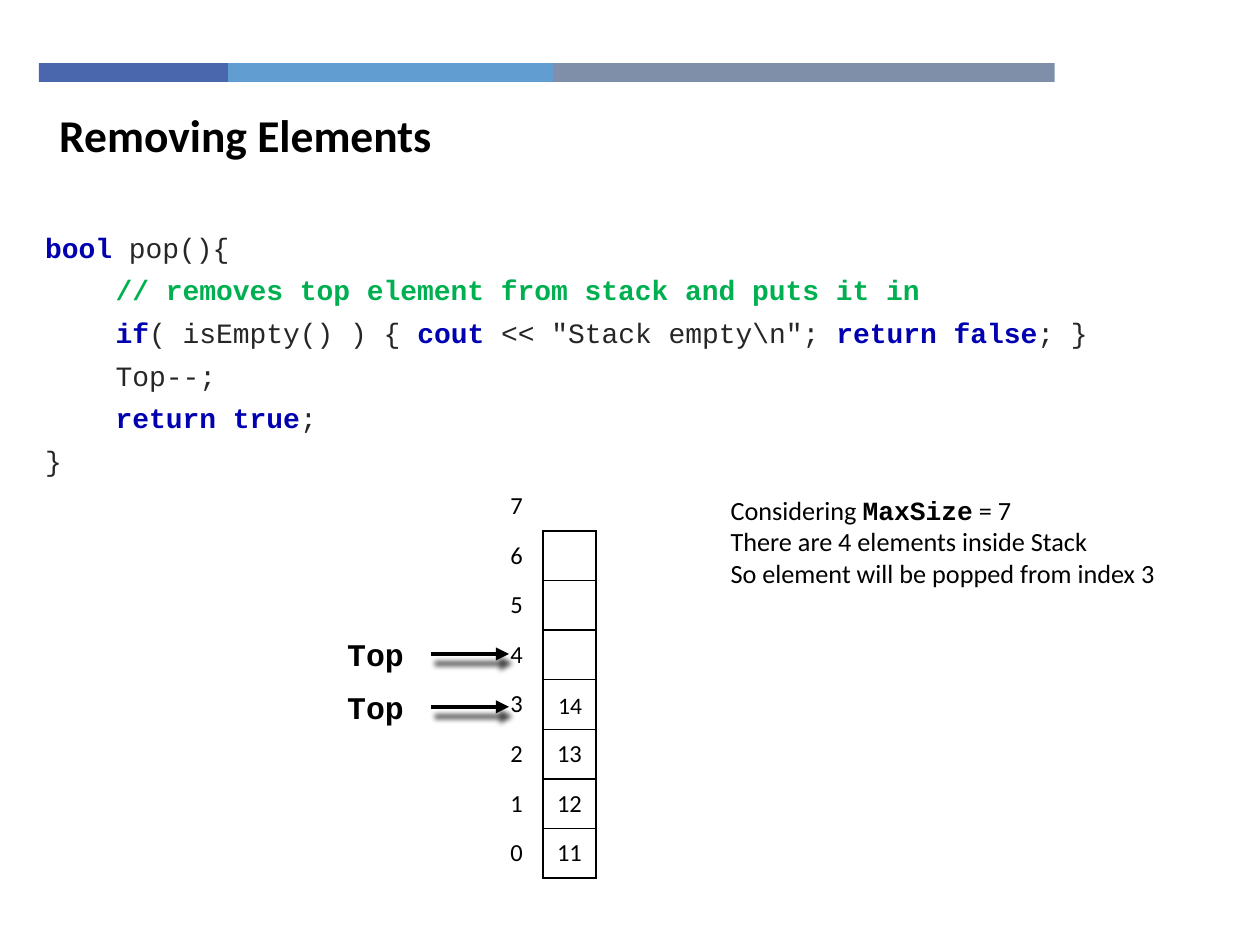
from lxml import etree
from pptx import Presentation
from pptx.dml.color import RGBColor
from pptx.enum.shapes import MSO_CONNECTOR, MSO_SHAPE
from pptx.enum.text import MSO_ANCHOR, MSO_AUTO_SIZE, PP_ALIGN
from pptx.oxml.ns import qn
from pptx.util import Inches, Pt

RECTANGLE = MSO_SHAPE.RECTANGLE
STRAIGHT = MSO_CONNECTOR.STRAIGHT
TOP, MIDDLE = MSO_ANCHOR.TOP, MSO_ANCHOR.MIDDLE
LEFT, CENTER, JUSTIFY = PP_ALIGN.LEFT, PP_ALIGN.CENTER, PP_ALIGN.JUSTIFY

BLACK = RGBColor(0x00, 0x00, 0x00)
WHITE = RGBColor(0xFF, 0xFF, 0xFF)
KEYWORD = RGBColor(0x00, 0x00, 0xB0)
COMMENT = RGBColor(0x00, 0xB0, 0x50)
PLAIN = RGBColor(0x26, 0x26, 0x26)
INDIGO = RGBColor(0x4A, 0x66, 0xAC)
SKY = RGBColor(0x62, 0x9D, 0xD1)
SLATE = RGBColor(0x7F, 0x8F, 0xA9)

BODY_FONT, CODE_FONT = "Calibri", "Courier New"
NO_GRID_STYLE = "{2D5ABB26-0587-4C30-8999-92F81FD0307C}"

# The slide is a grid of 100 columns by 75 rows of square units.
SLIDE_WIDTH, SLIDE_HEIGHT = Inches(10), Inches(7.5)
UNIT = SLIDE_WIDTH // 100

STACK = ["11", "12", "13"]
SLOTS = 8
STACK_LEFT, STACK_TOP = 38.9, 38.2
SLOT_WIDTH, SLOT_HEIGHT = 4.2, 3.94

KEYWORD_RUN = {"color": KEYWORD, "bold": True}
COMMENT_RUN = {"color": COMMENT, "bold": True}
CODE = [
    [("bool", KEYWORD_RUN), (" pop(){", {})],
    [("\t// removes top element from stack and puts it in", COMMENT_RUN)],
    [("\tif", KEYWORD_RUN), ("( isEmpty() ) { ", {}), ("cout ", KEYWORD_RUN),
     ('<< "Stack empty\\n"; ', {}), ("return false", KEYWORD_RUN), ("; }", {})],
    [("\tTop--;", {})],
    [("\treturn true", KEYWORD_RUN), (";", {})],
    [("}", {})],
]
EXPLANATION = [
    [("Considering ", {}), ("MaxSize", {"font": CODE_FONT, "bold": True}), (" = 7", {})],
    [("There are 4 elements inside Stack", {})],
    [("So element will be popped from index 3", {})],
]


def grid(*units):
    return [round(unit * UNIT) for unit in units]


def add_run(paragraph, text, size=14, font=BODY_FONT, color=BLACK, bold=False):
    run = paragraph.add_run()
    run.text = text
    run.font.size = Pt(size)
    run.font.name = font
    run.font.color.rgb = color
    run.font.bold = bold


def write(frame, lines, align=LEFT, anchor=TOP, **style):
    """Fill a frame with lines: plain strings, or lists of (text, style) runs."""
    frame.word_wrap = True
    frame.auto_size = MSO_AUTO_SIZE.NONE
    frame.vertical_anchor = anchor
    for number, line in enumerate(lines):
        paragraph = frame.add_paragraph() if number else frame.paragraphs[0]
        paragraph.alignment = align
        for text, run_style in [(line, {})] if isinstance(line, str) else line:
            add_run(paragraph, text, **{**style, **run_style})


def add_text(slide, box, lines, **style):
    frame = slide.shapes.add_textbox(*grid(*box)).text_frame
    write(frame, lines, **style)
    return frame


def add_block(slide, box, fill):
    block = slide.shapes.add_shape(RECTANGLE, *grid(*box))
    block.shadow.inherit = False
    block.fill.solid()
    block.fill.fore_color.rgb = fill
    block.line.fill.background()
    return block


def add_header_band(slide):
    left = 3.1
    for width, color in ((15, INDIGO), (25.8, SKY), (39.8, SLATE)):
        add_block(slide, (left, 5, width, 1.5), color)
        left += width


def add_title(slide, text):
    title = slide.shapes.title
    title.left, title.top, title.width, title.height = grid(3.7, 8, 71.6, 5.4)
    write(title.text_frame, [text], size=26, bold=True)


def add_code(slide):
    frame = add_text(slide, (2.6, 18.3, 97.4, 20.5), CODE, align=JUSTIFY,
                     size=16, font=CODE_FONT, color=PLAIN)
    indent = Inches(0.56)
    for paragraph in frame.paragraphs:
        paragraph.line_spacing = 0.8
        paragraph.space_before = paragraph.space_after = Pt(4.5)
        properties = paragraph._p.get_or_add_pPr()
        properties.set("marL", str(indent))
        properties.set("indent", str(-indent))


def draw_borders(cell, sides):
    properties = cell._tc.get_or_add_tcPr()
    for position, side in enumerate(sides):
        border = etree.Element(qn(f"a:ln{side}"), w=str(Pt(1)))
        fill = etree.SubElement(border, qn("a:solidFill"))
        etree.SubElement(fill, qn("a:srgbClr"), val=str(BLACK))
        properties.insert(position, border)


def add_stack(slide):
    frame = slide.shapes.add_table(SLOTS, 2, *grid(
        STACK_LEFT, STACK_TOP, 2 * SLOT_WIDTH, SLOTS * SLOT_HEIGHT))
    table = frame.table
    table.first_row = table.horz_banding = False
    table._tbl.tblPr.find(qn("a:tableStyleId")).text = NO_GRID_STYLE
    for column in table.columns:
        column.width = grid(SLOT_WIDTH)[0]
    for row_number, row in enumerate(table.rows):
        row.height = grid(SLOT_HEIGHT)[0]
        index = SLOTS - 1 - row_number
        value = STACK[index] if index < len(STACK) else ""
        for cell, text in zip(row.cells, (str(index), value)):
            cell.fill.background()
            cell.vertical_anchor = MIDDLE
            cell.margin_left = cell.margin_right = Inches(0.07)
            cell.margin_top = cell.margin_bottom = Inches(0.04)
            paragraph = cell.text_frame.paragraphs[0]
            paragraph.alignment = CENTER
            if text:
                add_run(paragraph, text)
        draw_borders(row.cells[1], "LRTB" if row_number else "B")


def add_top_pointer(slide, center):
    """Place the Top label and its shadowed arrow, centred on a grid row."""
    label = add_block(slide, (25.4, center - 1.6, 8.8, 3.2), WHITE)
    write(label.text_frame, ["Top"], align=CENTER, anchor=MIDDLE,
          size=18, font=CODE_FONT, bold=True)
    arrow = slide.shapes.add_connector(STRAIGHT, *grid(34.2, center, 40.4, center))
    arrow.line.color.rgb = BLACK
    arrow.line.width = Pt(2.5)
    etree.SubElement(arrow.line._get_or_add_ln(), qn("a:tailEnd"), type="triangle")
    effects = etree.SubElement(arrow._element.spPr, qn("a:effectLst"))
    shadow = etree.SubElement(effects, qn("a:outerShdw"), blurRad=str(Pt(3)),
                              dist=str(Pt(6)), dir=str(70 * 60000), rotWithShape="0")
    color = etree.SubElement(shadow, qn("a:srgbClr"), val=str(BLACK))
    etree.SubElement(color, qn("a:alpha"), val="75000")


def main():
    deck = Presentation()
    deck.slide_width, deck.slide_height = SLIDE_WIDTH, SLIDE_HEIGHT
    slide = deck.slides.add_slide(deck.slide_layouts[5])
    add_header_band(slide)
    add_title(slide, "Removing Elements")
    add_code(slide)
    add_stack(slide)
    add_top_pointer(slide, 56.1)
    add_text(slide, (57, 38.7, 41.1, 8.6), EXPLANATION, align=JUSTIFY, size=15)
    add_top_pointer(slide, 51.9)
    add_text(slide, (43.2, 54, 4.1, 3.9), ["14"], align=CENTER, anchor=MIDDLE, size=13.5)
    deck.save("out.pptx")


if __name__ == "__main__":
    main()
